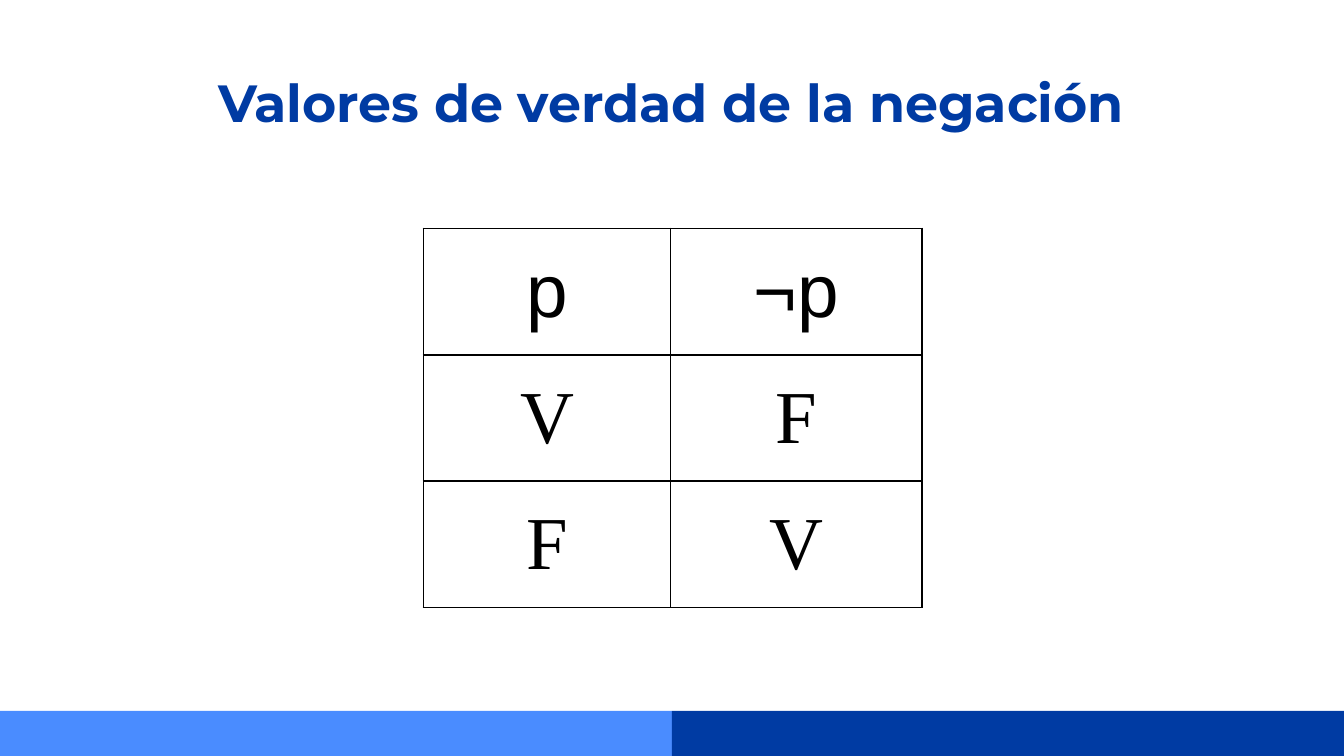
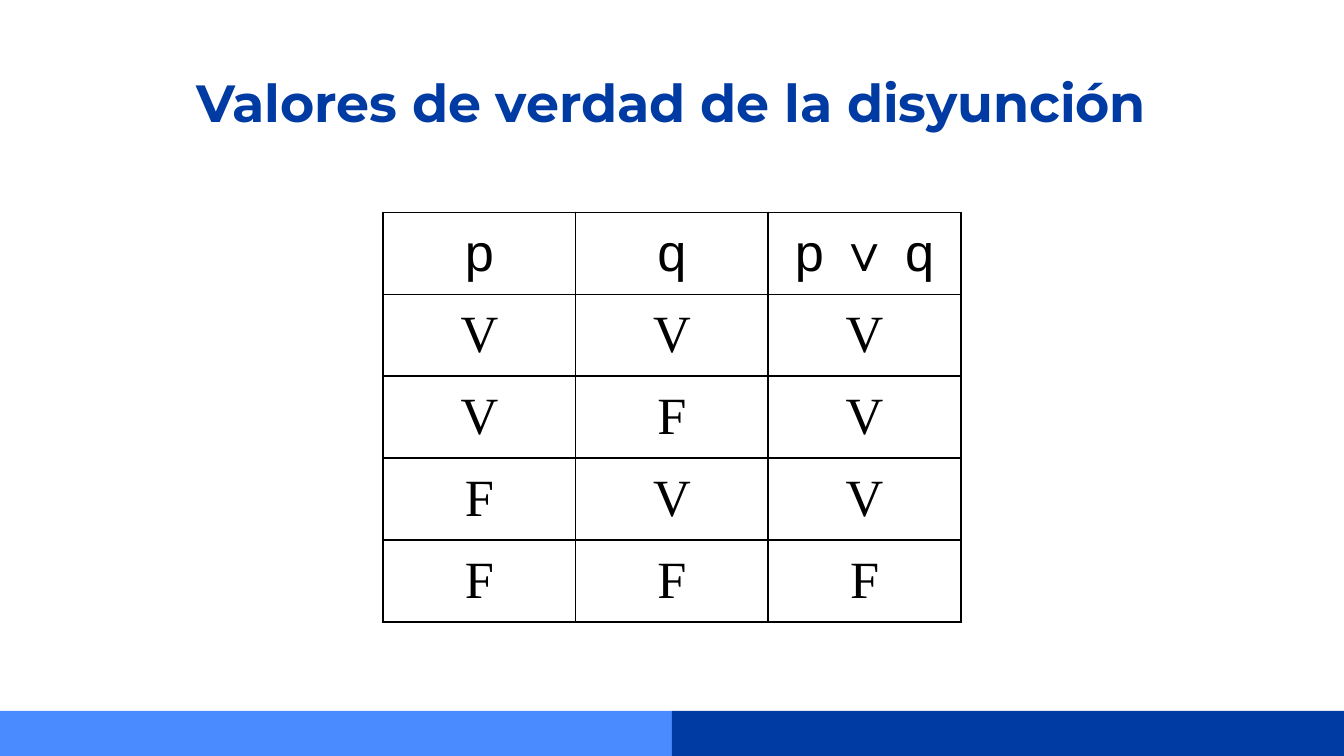
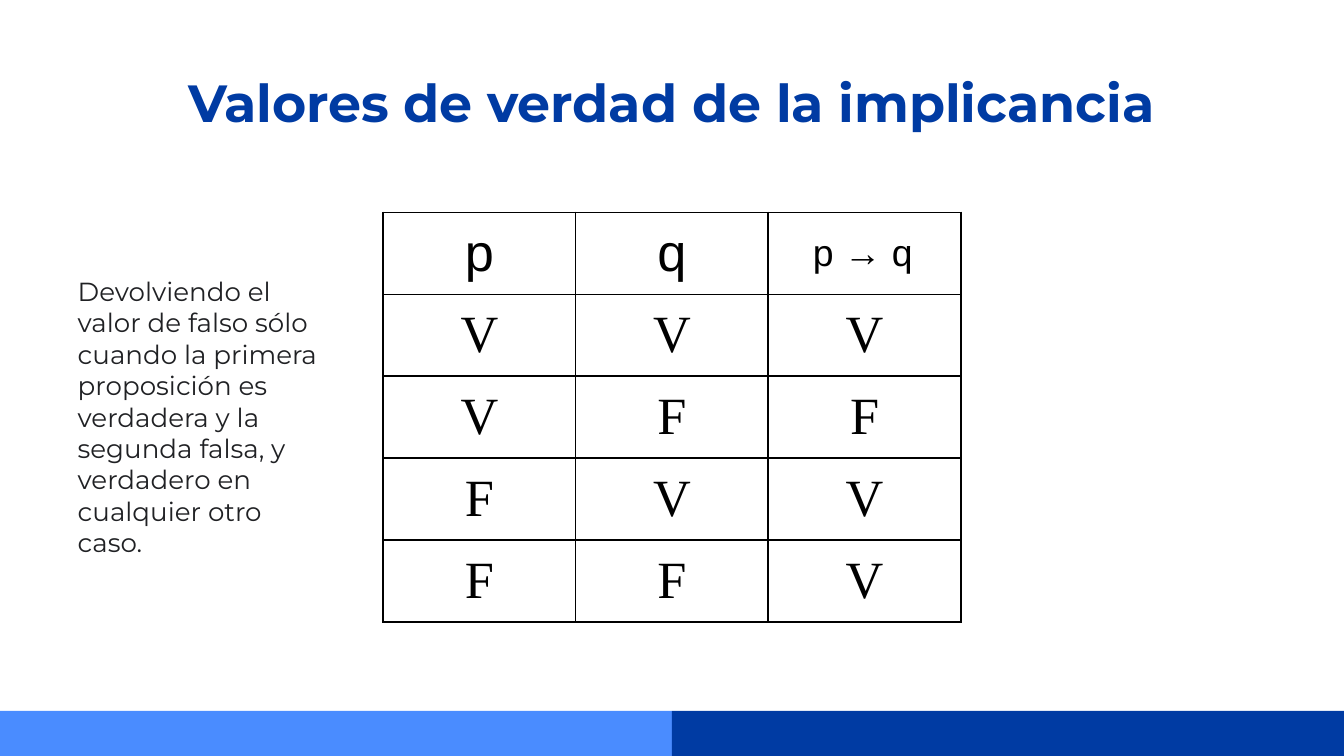
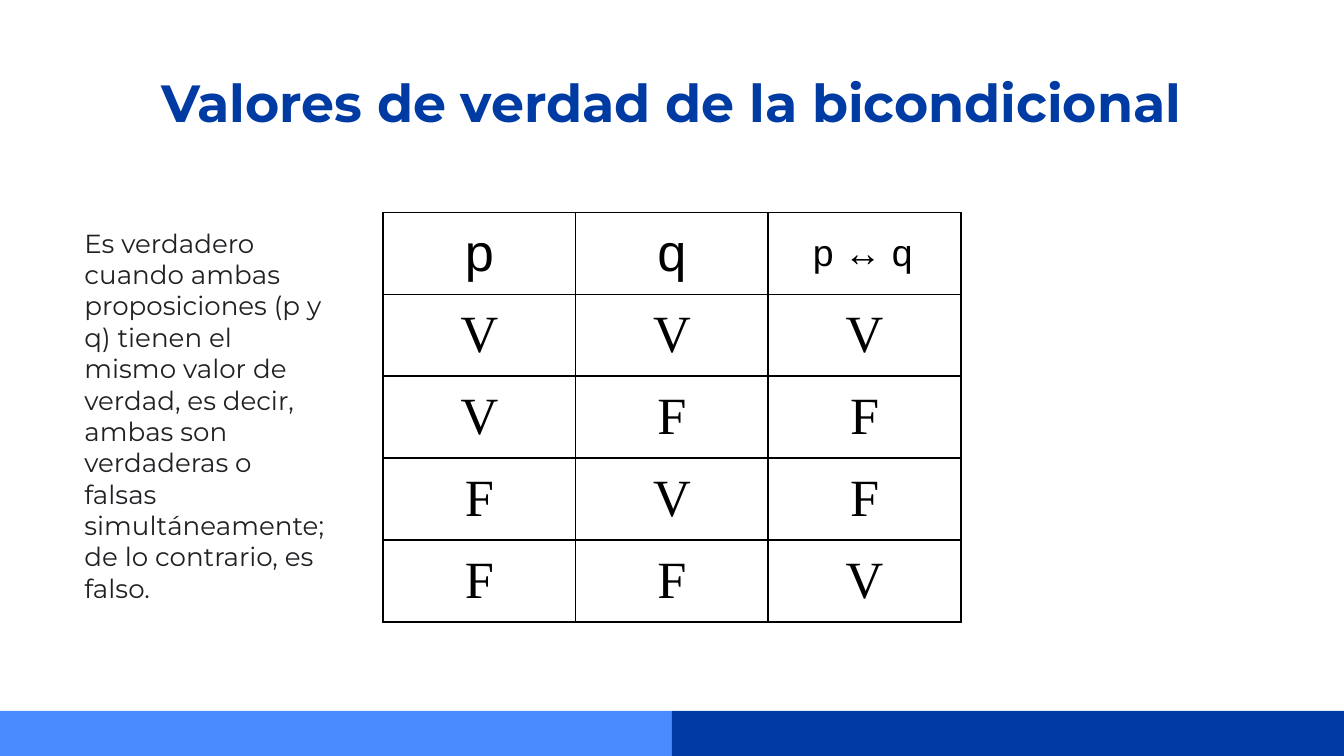
from itertools import product

from lxml import etree
from pptx import Presentation
from pptx.dml.color import RGBColor
from pptx.enum.shapes import MSO_SHAPE
from pptx.enum.text import MSO_ANCHOR, MSO_AUTO_SIZE, PP_ALIGN
from pptx.oxml.ns import qn
from pptx.util import Inches, Pt

RECTANGLE = MSO_SHAPE.RECTANGLE
LEFT, CENTER = PP_ALIGN.LEFT, PP_ALIGN.CENTER
TOP, MIDDLE = MSO_ANCHOR.TOP, MSO_ANCHOR.MIDDLE
FIXED, GROW = MSO_AUTO_SIZE.NONE, MSO_AUTO_SIZE.SHAPE_TO_FIT_TEXT

COLORS = {"dark_blue": "003BA3", "light_blue": "4A8CFF", "ink": "202124", "black": "000000"}
TITLE_FONT, SYMBOL_FONT, VALUE_FONT = "Montserrat", "Arial", "Times New Roman"

SLIDE_WIDTH = 10
SLIDE_HEIGHT = SLIDE_WIDTH * 9 / 16
TITLE_BOX = (0.78, 0.42, 8.43, 0.63)
BAND_TOP, BAND_HEIGHT = 5.29, 0.34
BAND_COLORS = ["light_blue", "dark_blue"]
BORDER_WIDTH = 1

NEGATION_GRID = {"left": 3.15, "top": 1.7, "columns": [1.84, 1.87], "row_height": 0.94, "size": 40}
BINARY_GRID = {"left": 2.85, "top": 1.58, "columns": [4.3 / 3] * 3, "row_height": 0.61, "size": 28}
FORMULA_BOX = (5.7, 1.66, 1.44, 0.44)

OPERATIONS = [
    {"title": "Valores de verdad de la negación", "variables": ["p"],
     "formula": "¬p", "results": "FV", "grid": NEGATION_GRID},
    {"title": "Valores de verdad de la disyunción", "variables": ["p", "q"],
     "formula": "p ∨ q", "results": "VVVF", "grid": BINARY_GRID},
    {"title": "Valores de verdad de la implicancia", "variables": ["p", "q"],
     "formula": "p → q", "results": "VFVV", "grid": BINARY_GRID,
     "note_box": (0.48, 2, 2, 2.22),
     "note": "Devolviendo el valor de falso sólo cuando la primera proposición es verdadera "
             "y la segunda falsa, y verdadero en cualquier otro caso."},
    {"title": "Valores de verdad de la bicondicional", "variables": ["p", "q"],
     "formula": "p ↔ q", "results": "VFFV", "grid": BINARY_GRID,
     "note_box": (0.53, 1.64, 2, 2.93),
     "note": "Es verdadero cuando ambas proposiciones (p y q) tienen el mismo valor de verdad, "
             "es decir, ambas son verdaderas o falsas simultáneamente; de lo contrario, es falso."},
]


def inches(values):
    return [Inches(value) for value in values]


def write_text(frame, text, *, size, font, color="black", bold=False, align=CENTER):
    paragraph = frame.paragraphs[0]
    paragraph.alignment = align
    run = paragraph.add_run()
    run.text = text
    run.font.size = Pt(size)
    run.font.name = font
    run.font.bold = bold
    run.font.color.rgb = RGBColor.from_string(COLORS[color])


def add_text_box(slide, box, text, **text_format):
    frame = slide.shapes.add_textbox(*inches(box)).text_frame
    frame.word_wrap = True
    frame.auto_size = GROW
    write_text(frame, text, **text_format)


def set_borders(cell):
    properties = cell._tc.get_or_add_tcPr()
    for position, side in enumerate(("a:lnL", "a:lnR", "a:lnT", "a:lnB")):
        line = etree.Element(qn(side), w=str(Pt(BORDER_WIDTH)))
        fill = etree.SubElement(line, qn("a:solidFill"))
        etree.SubElement(fill, qn("a:srgbClr"), val=COLORS["black"])
        properties.insert(position, line)


def prepare_layout(layout, slide):
    title = layout.placeholders[0]
    title.left, title.top, title.width, title.height = inches(TITLE_BOX)
    band_width = SLIDE_WIDTH / len(BAND_COLORS)
    for index, color in enumerate(BAND_COLORS):
        box = (index * band_width, BAND_TOP, band_width, BAND_HEIGHT)
        band = slide.shapes.add_shape(RECTANGLE, *inches(box))
        band.shadow.inherit = False
        band.fill.solid()
        band.fill.fore_color.rgb = RGBColor.from_string(COLORS[color])
        band.line.fill.background()
        band.element.nvSpPr.cNvPr.set("id", str(100 + index))
        layout.shapes.element.append(band.element)


def add_title(slide, text):
    frame = slide.shapes.title.text_frame
    frame.margin_left = frame.margin_right = Inches(0.1)
    frame.margin_top = frame.margin_bottom = Inches(0.1)
    frame.vertical_anchor = TOP
    frame.word_wrap = True
    frame.auto_size = FIXED
    write_text(frame, text, size=28, font=TITLE_FONT, color="dark_blue", bold=True)


def truth_rows(operation):
    variables = operation["variables"]
    header_formula = "" if "note" in operation else operation["formula"]
    inputs = product("VF", repeat=len(variables))
    values = [[*row, result] for row, result in zip(inputs, operation["results"])]
    return [[*variables, header_formula], *values]


def add_truth_table(slide, rows, grid):
    widths = grid["columns"]
    box = (grid["left"], grid["top"], sum(widths), grid["row_height"] * len(rows))
    table = slide.shapes.add_table(len(rows), len(widths), *inches(box)).table
    table.first_row = table.horz_banding = False
    for column, width in zip(table.columns, widths):
        column.width = Inches(width)
    for row_index, row in enumerate(rows):
        table.rows[row_index].height = Inches(grid["row_height"])
        font = VALUE_FONT if row_index else SYMBOL_FONT
        for column_index, text in enumerate(row):
            cell = table.cell(row_index, column_index)
            cell.margin_left = cell.margin_right = Inches(0.05)
            cell.margin_top = cell.margin_bottom = 0
            cell.vertical_anchor = MIDDLE
            cell.fill.background()
            set_borders(cell)
            if text:
                write_text(cell.text_frame, text, size=grid["size"], font=font)


def main():
    presentation = Presentation()
    presentation.slide_width, presentation.slide_height = inches((SLIDE_WIDTH, SLIDE_HEIGHT))
    layout = presentation.slide_layouts.get_by_name("Title Only")
    for index, operation in enumerate(OPERATIONS):
        slide = presentation.slides.add_slide(layout)
        if index == 0:
            prepare_layout(layout, slide)
        add_title(slide, operation["title"])
        add_truth_table(slide, truth_rows(operation), operation["grid"])
        if "note" in operation:
            add_text_box(slide, FORMULA_BOX, operation["formula"], size=20, font=SYMBOL_FONT)
            add_text_box(slide, operation["note_box"], operation["note"],
                         size=14, font=TITLE_FONT, color="ink", align=LEFT)
    presentation.save("out.pptx")


if __name__ == "__main__":
    main()
